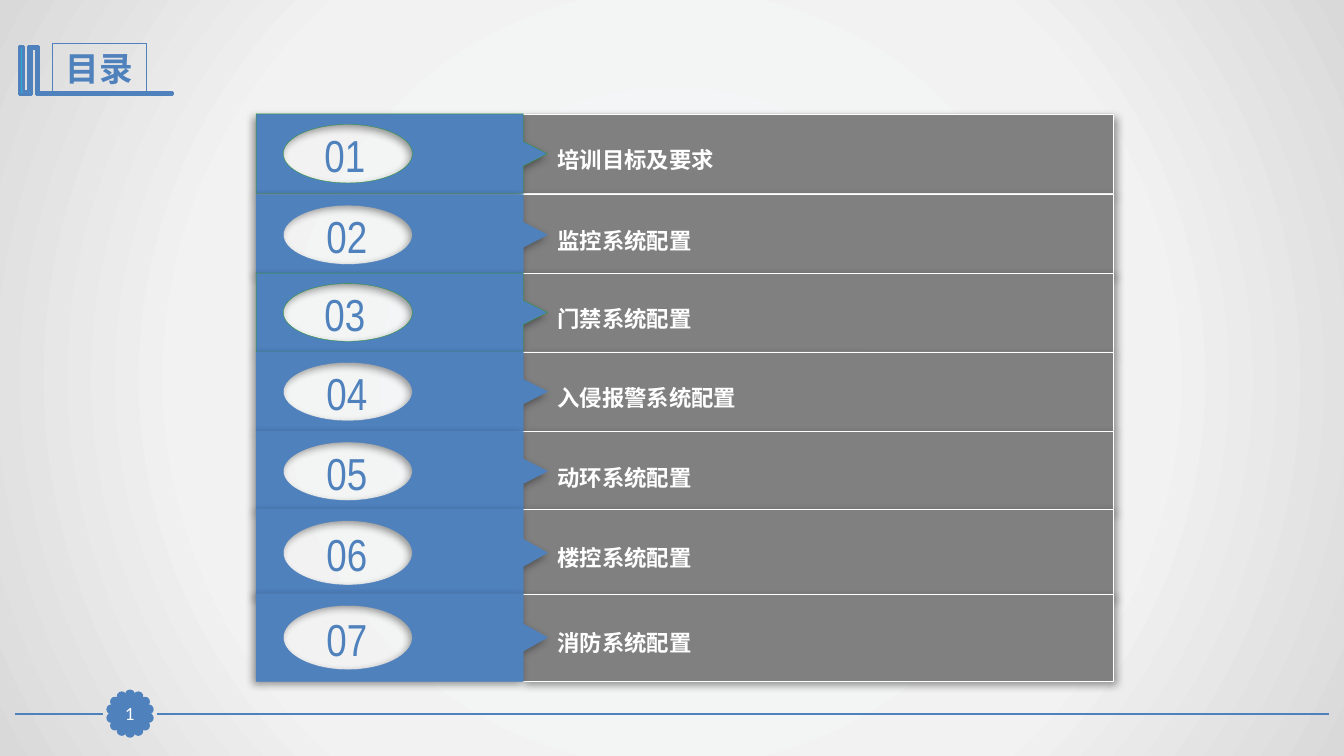
"""Build the contents slide: seven numbered arrow rows on a light radial background."""
import math
from dataclasses import dataclass

from lxml import etree
from pptx import Presentation
from pptx import util as u
from pptx.dml.color import RGBColor
from pptx.enum import shapes, text
from pptx.oxml import parse_xml
from pptx.oxml.ns import qn


@dataclass(frozen=True)
class Theme:
    blue: str = "4F81BD"
    green: str = "339933"
    cyan: str = "28A9D6"
    gray: str = "808080"
    white: str = "FFFFFF"
    narrow: str = "Arial Narrow"
    body: str = "Lato"
    title_size: float = 24
    number_size: float = 32
    label_size: float = 16
    page_size: float = 12
    backdrop: tuple = ((0, "F6F9FC"), (63, "F2F2F2"), (100, "D9D9D9"))


THEME = Theme()


@dataclass(frozen=True)
class Row:
    number: str
    label: str
    top: float
    height: float
    outline: str = THEME.blue
    number_middle: float = 3.44


ROWS = [
    Row("01", "培训目标及要求", 1.13, 0.79, THEME.green, 3.42),
    Row("02", "监控系统配置", 1.93, 0.8),
    Row("03", "门禁系统配置", 2.71, 0.78, THEME.green, 3.42),
    Row("04", "入侵报警系统配置", 3.49, 0.79),
    Row("05", "动环系统配置", 4.28, 0.79),
    Row("06", "楼控系统配置", 5.05, 0.87),
    Row("07", "消防系统配置", 5.89, 0.87),
]

ICON = [
    (0.37, 0.46), (0.38, 0.46), (0.38, 0.92), (1.71, 0.92), (1.71, 0.94),
    (0.36, 0.94), (0.36, 0.48), (0.31, 0.48), (0.31, 0.94), (0.19, 0.94),
    (0.19, 0.46), (0.23, 0.46), (0.23, 0.91), (0.28, 0.91), (0.28, 0.46),
]


def paint(shape, fill: str | None, line: str, width: float) -> None:
    """Set fill and outline and drop the inherited shadow."""
    if fill:
        shape.fill.solid()
        shape.fill.fore_color.rgb = RGBColor.from_string(fill)
    else:
        shape.fill.background()
    shape.line.color.rgb = RGBColor.from_string(line)
    shape.line.width = u.Pt(width)
    shape.shadow.inherit = False


def cast_shadow(shape, angle: int) -> None:
    """Give a painted shape a soft black shadow."""
    effects = shape.element.spPr.find(qn("a:effectLst"))
    shadow = etree.SubElement(
        effects, qn("a:outerShdw"), blurRad=str(u.Pt(6)), dist=str(u.Pt(3)),
        dir=str(angle * 60000), algn="ctr", rotWithShape="0")
    color = etree.SubElement(shadow, qn("a:srgbClr"), val="000000")
    etree.SubElement(color, qn("a:alpha"), val="40000")


def write(box, wording: str, font: str, size: float, color: str, bold: bool = False,
          align=text.PP_ALIGN.CENTER, anchor=text.MSO_ANCHOR.MIDDLE) -> None:
    """Put one formatted paragraph in a shape."""
    frame = box.text_frame
    frame.word_wrap = True
    frame.auto_size = text.MSO_AUTO_SIZE.NONE
    frame.vertical_anchor = anchor
    frame.text = wording
    para = frame.paragraphs[0]
    para.alignment = align
    para.font.name = font
    para.font.size = u.Pt(size)
    para.font.bold = bold
    para.font.color.rgb = RGBColor.from_string(color)


def add_outline(parent, contours: list):
    """Add a freeform made of closed contours given in inches."""
    scaled = [[(u.Inches(x), u.Inches(y)) for x, y in contour] for contour in contours]
    builder = parent.build_freeform(*scaled[0][0])
    for index, contour in enumerate(scaled):
        if index:
            builder.move_to(*contour[0])
        builder.add_line_segments(contour[1:], close=True)
    return builder.convert_to_shape()


def round_hole(shape) -> None:
    """Turn the first four sides, a diamond from its top, into quarter ellipses."""
    bend = 0.5523
    points = [(int(point.get("x")), int(point.get("y")))
              for point in shape.element.iter(qn("a:pt"))]
    sides = list(shape.element.iter(qn("a:lnTo")))[:4]
    for index, side in enumerate(sides):
        (x0, y0), (x1, y1) = points[index:index + 2]
        across, down = round(bend * (x1 - x0)), round(bend * (y1 - y0))
        if index % 2:
            controls = [(x0, y0 + down), (x1 - across, y1)]
        else:
            controls = [(x0 + across, y0), (x1, y1 - down)]
        curve = etree.Element(qn("a:cubicBezTo"))
        for x, y in [*controls, (x1, y1)]:
            etree.SubElement(curve, qn("a:pt"), x=str(x), y=str(y))
        side.getparent().replace(side, curve)


def set_backdrop(page) -> None:
    """Fill the page with a circular gradient."""
    stops = "".join(
        f'<a:gs pos="{place * 1000}"><a:srgbClr val="{color}"/></a:gs>'
        for place, color in THEME.backdrop)
    page.element.cSld.insert(0, parse_xml(
        '<p:bg xmlns:p="http://schemas.openxmlformats.org/presentationml/2006/main" '
        'xmlns:a="http://schemas.openxmlformats.org/drawingml/2006/main">'
        f'<p:bgPr><a:gradFill rotWithShape="1"><a:gsLst>{stops}</a:gsLst>'
        '<a:path path="circle"><a:fillToRect l="50000" t="50000" r="50000" b="50000"/>'
        '</a:path></a:gradFill><a:effectLst/></p:bgPr></p:bg>'))


def add_header(page) -> None:
    """Draw the book icon and the framed title."""
    paint(add_outline(page.shapes, [ICON]), THEME.cyan, THEME.blue, 2)
    title = page.shapes.title
    title.left, title.top = u.Inches(0.52), u.Inches(0.43)
    title.width, title.height = u.Inches(0.93), u.Inches(0.5)
    paint(title, None, THEME.blue, 0.75)
    write(title, "目录", THEME.narrow, THEME.title_size, THEME.blue, bold=True)


def add_footer(page) -> None:
    """Draw the footer rule and the petalled page number."""
    level = u.Inches(7.08)
    for start, end in ((13.18, 1.56), (1.02, 0.15)):
        rule = page.shapes.add_connector(
            shapes.MSO_CONNECTOR.STRAIGHT, u.Inches(start), level, u.Inches(end), level)
        rule.line.color.rgb = RGBColor.from_string(THEME.blue)
        rule.line.width = u.Pt(1.25)
        etree.SubElement(rule.element.spPr, qn("a:effectLst"))
    rosette = page.shapes.add_group_shape().shapes
    petals, radius, size = 14, 0.19, 0.07
    for index in range(petals):
        angle = math.tau * index / petals
        petal = rosette.add_shape(
            shapes.MSO_SHAPE.OVAL,
            u.Inches(1.29 + radius * math.sin(angle) - size / 2),
            u.Inches(7.08 - radius * math.cos(angle) - size / 2),
            u.Inches(size), u.Inches(size))
        paint(petal, THEME.blue, THEME.blue, 2)
    number = page.shapes.add_shape(
        shapes.MSO_SHAPE.RECTANGLE, u.Inches(1.13), u.Inches(6.93), u.Inches(0.32), u.Inches(0.31))
    paint(number, THEME.blue, THEME.blue, 0.75)
    frame = number.text_frame
    frame.margin_left = frame.margin_top = frame.margin_right = frame.margin_bottom = 0
    write(number, "1", THEME.body, THEME.page_size, THEME.white)


def add_row(page, row: Row) -> None:
    """Draw one contents row: gray bar, blue arrow with an oval hole, number and label."""
    group = page.shapes.add_group_shape().shapes
    middle, bottom = row.top + row.height / 2, row.top + row.height
    notch, rise = row.height * 0.155, row.height * 0.367
    bar = group.add_shape(
        shapes.MSO_SHAPE.RECTANGLE, u.Inches(5.17), u.Inches(row.top), u.Inches(5.87), u.Inches(row.height))
    paint(bar, THEME.gray, THEME.white, 0.25)
    cast_shadow(bar, 45)
    hole = [(3.45, middle - rise), (2.81, middle), (3.45, middle + rise), (4.09, middle),
            (3.45, middle - rise)]
    edge = [(2.54, row.top), (5.19, row.top), (5.19, middle - notch), (5.43, middle),
            (5.19, middle + notch), (5.19, bottom), (2.54, bottom)]
    arrow = add_outline(group, [hole, edge])
    round_hole(arrow)
    paint(arrow, THEME.blue, row.outline, 0.25)
    cast_shadow(arrow, 135)
    number = group.add_textbox(
        u.Inches(row.number_middle - 0.5), u.Inches(middle - 0.31), u.Inches(1), u.Inches(0.64))
    write(number, row.number, THEME.narrow, THEME.number_size, THEME.blue)
    label = group.add_textbox(
        u.Inches(5.43), u.Inches(middle - notch), u.Inches(5.61), u.Inches(0.37))
    write(label, row.label, THEME.body, THEME.label_size, THEME.white, bold=True,
          align=text.PP_ALIGN.LEFT, anchor=text.MSO_ANCHOR.TOP)


deck = Presentation()
deck.slide_width, deck.slide_height = u.Inches(13.33), u.Inches(7.5)
contents = deck.slides.add_slide(deck.slide_layouts[5])
set_backdrop(contents)
add_footer(contents)
add_header(contents)
for entry in ROWS:
    add_row(contents, entry)
deck.save("out.pptx")
